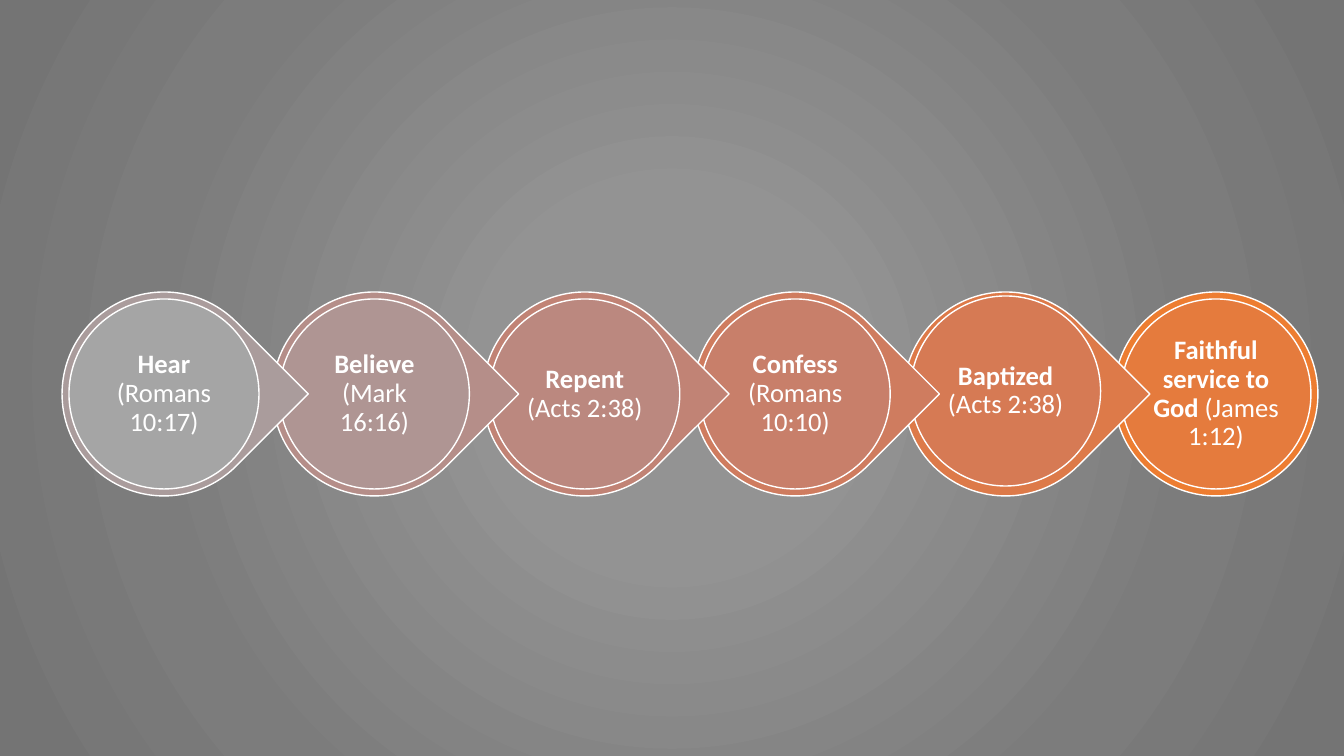
from lxml import etree
from pptx import Presentation, util as u
from pptx.dml.color import RGBColor
from pptx.enum import shapes, text
from pptx.oxml import parse_xml
from pptx.oxml.ns import nsdecls, qn

SCALE = 12192000 / 1344  # EMU per px
WIDTH, HEIGHT = 1344, 756
WHITE = "FFFFFF"
BACKGROUND = [(0, "939393"), (23, "939393"), (69, "7C7C7C"), (97, "747474")]

# Bold step, plain reference, ring colour, disc colour, upward shift of the disc
STEPS = [
    ("Hear", " (Romans 10:17)", "AA9C9C", "A5A5A5", 0),
    ("Believe", " (Mark 16:16)", "B58E89", "AF9593", 0),
    ("Repent", " (Acts 2:38)", "C18375", "BB887F", 0),
    ("Confess", " (Romans 10:10)", "CF7C5F", "C87F6A", 0),
    ("Baptized", " (Acts 2:38)", "DD7A49", "D67A54", 3),
    ("Faithful service to God ", "(James 1:12)", "ED7D31", "E57B3D", 0),
]


def px(n):
    return u.Emu(round(n * SCALE))


def rgb(hex_color):
    return RGBColor.from_string(hex_color)


def paint_background(s):
    s.background.fill.solid()
    bg_pr = s._element.find(".//" + qn("p:bgPr"))
    grad = parse_xml(f'<a:gradFill {nsdecls("a")} rotWithShape="1"><a:gsLst/>'
                     '<a:path path="circle"><a:fillToRect l="50000" t="50000" '
                     'r="50000" b="50000"/></a:path></a:gradFill>')
    for pos, color in BACKGROUND:
        gs = etree.SubElement(grad[0], qn("a:gs"), pos=str(pos * 1000))
        etree.SubElement(gs, qn("a:srgbClr"), val=color)
    bg_pr.replace(bg_pr.find(qn("a:solidFill")), grad)


def add_round(s, kind, x, y, size, color):
    sp = s.shapes.add_shape(kind, px(x), px(y), px(size), px(size))
    sp.shadow.inherit = False
    sp.fill.solid()
    sp.fill.fore_color.rgb = rgb(color)
    sp.line.color.rgb = rgb(WHITE)
    sp.line.width = u.Pt(1)
    return sp


def add_label(s, x, y, size, name, reference):
    tf = s.shapes.add_textbox(px(x), px(y), px(size), px(size)).text_frame
    tf.word_wrap = True
    tf.vertical_anchor = text.MSO_ANCHOR.MIDDLE
    tf.margin_left = tf.margin_right = tf.margin_top = tf.margin_bottom = px(3)
    p = tf.paragraphs[0]
    p.alignment = text.PP_ALIGN.CENTER
    p.line_spacing = 0.9
    for words, bold in ((name, True), (reference, False)):
        r = p.add_run()
        r.text = words
        r.font.name = "Calibri"
        r.font.size = u.Pt(19)
        r.font.bold = bold
        r.font.color.rgb = rgb(WHITE)


def add_step(s, x, y, size, step, is_last):
    name, reference, ring_color, disc_color, lift = step
    # Ring, pointing at the next step unless it is the last one
    kind = shapes.MSO_SHAPE.OVAL if is_last else shapes.MSO_SHAPE.TEAR
    ring = add_round(s, kind, x, y, size, ring_color)
    if not is_last:
        ring.rotation = 45
    # Disc and its label
    add_round(s, shapes.MSO_SHAPE.OVAL, x + 7, y + 7 - lift, size - 14, disc_color)
    add_label(s, x + 34, y + 34 - lift, size - 68, name, reference)


def add_process(s, x, y, w, h):
    last = len(STEPS) - 1
    pitch = (w - h) / last
    # Right to left, so that each tip lies over the next ring
    for i in range(last, -1, -1):
        add_step(s, x + i * pitch, y, h, STEPS[i], i == last)


def main():
    prs = Presentation()
    prs.slide_width, prs.slide_height = px(WIDTH), px(HEIGHT)
    s = prs.slides.add_slide(prs.slide_layouts[6])
    paint_background(s)
    add_process(s, 62, 292, 1256, 204)
    prs.save("out.pptx")


if __name__ == "__main__":
    main()
